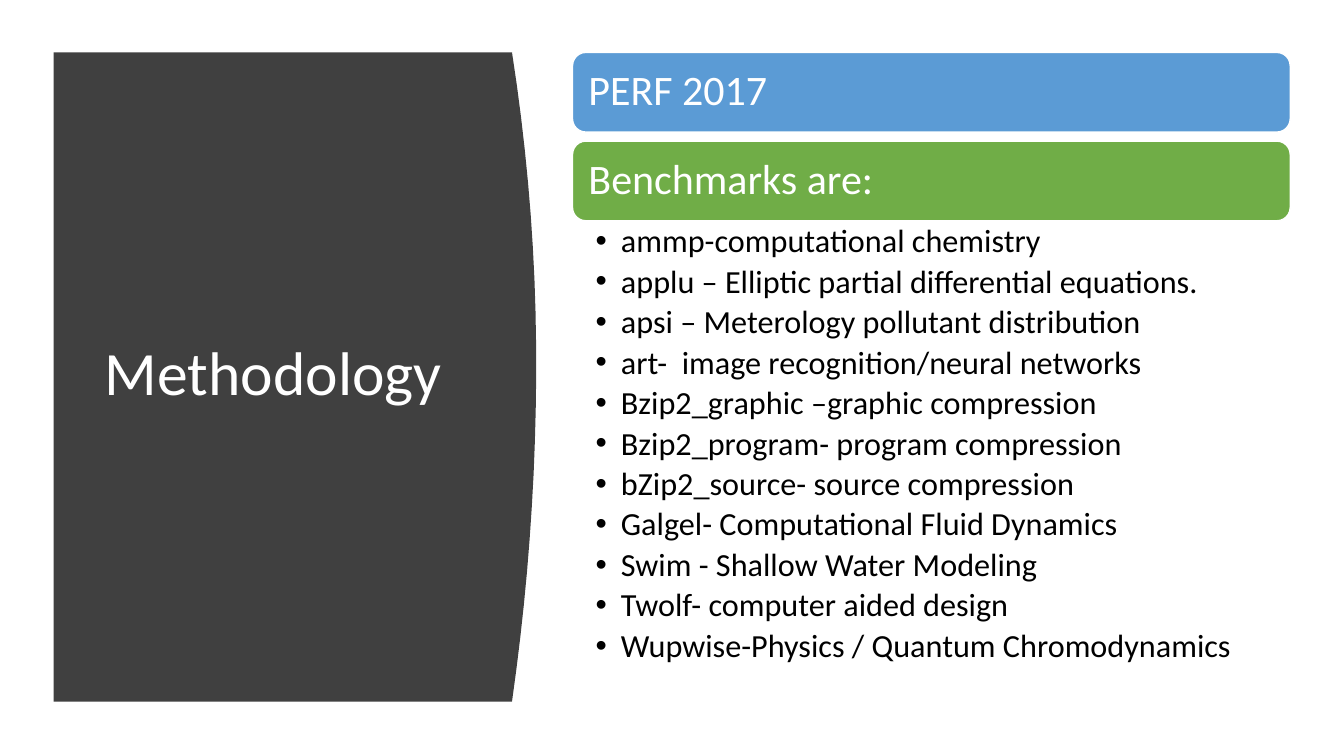
from pptx import Presentation
from pptx.dml.color import RGBColor
from pptx.enum.shapes import MSO_SHAPE
from pptx.enum.text import MSO_ANCHOR, MSO_AUTO_SIZE, PP_ALIGN
from pptx.util import Inches, Pt

ROUNDED = MSO_SHAPE.ROUNDED_RECTANGLE
TOP, MIDDLE = MSO_ANCHOR.TOP, MSO_ANCHOR.MIDDLE
LEFT = PP_ALIGN.LEFT
NO_AUTOFIT = MSO_AUTO_SIZE.NONE

WHITE = RGBColor(0xFF, 0xFF, 0xFF)
BLACK = RGBColor(0x00, 0x00, 0x00)
CHARCOAL = RGBColor(0x40, 0x40, 0x40)
BLUE = RGBColor(0x5B, 0x9B, 0xD5)
GREEN = RGBColor(0x70, 0xAD, 0x47)

COLUMNS, ROWS = 200, 150
PANEL_LEFT, PANEL_EDGE, PANEL_BULGE = 8, 76.2, 3.6
PANEL_TOP, PANEL_PEAK, PANEL_BOTTOM = 10.4, 72, 139.2
CURVE_STEPS = 20
BAR_LEFT, BAR_WIDTH, BAR_HEIGHT, BAR_STEP = 85.2, 106.8, 15.8, 17.6

HEADINGS = [("PERF 2017", BLUE), ("Benchmarks are:", GREEN)]
BENCHMARKS = [
    "ammp-computational chemistry",
    "applu – Elliptic partial differential equations.",
    "apsi – Meterology pollutant distribution",
    "art-  image recognition/neural networks",
    "Bzip2_graphic –graphic compression",
    "Bzip2_program- program compression",
    "bZip2_source- source compression",
    "Galgel- Computational Fluid Dynamics",
    "Swim - Shallow Water Modeling",
    "Twolf- computer aided design",
    "Wupwise-Physics / Quantum Chromodynamics",
]


class MethodologySlide:
    """Holds the style and the current slide, placing elements on a grid."""

    font_name = "Calibri"

    def __init__(self, presentation):
        self.column = presentation.slide_width / COLUMNS
        self.row = presentation.slide_height / ROWS
        self.slide = presentation.slides.add_slide(presentation.slide_layouts[1])

    def box(self, left, top, width, height):
        return (round(left * self.column), round(top * self.row),
                round(width * self.column), round(height * self.row))

    def place(self, shape, left, top, width, height):
        names = ("left", "top", "width", "height")
        for name, value in zip(names, self.box(left, top, width, height)):
            setattr(shape, name, value)

    def fill_text(self, shape, lines, size, color, anchor, insets, space_after=0):
        frame = shape.text_frame
        frame_format = {
            "word_wrap": True, "auto_size": NO_AUTOFIT, "vertical_anchor": anchor,
            "margin_left": Inches(insets[0]), "margin_right": Inches(insets[0]),
            "margin_top": Inches(insets[1]), "margin_bottom": Inches(insets[1]),
        }
        paragraph_format = {
            "alignment": LEFT, "line_spacing": 0.9,
            "space_before": Pt(0), "space_after": Pt(space_after),
        }
        font_format = {"name": self.font_name, "size": Pt(size)}
        for name, value in frame_format.items():
            setattr(frame, name, value)
        frame.text = "\n".join(lines)
        for paragraph in frame.paragraphs:
            for name, value in paragraph_format.items():
                setattr(paragraph, name, value)
            font = paragraph.runs[0].font
            for name, value in font_format.items():
                setattr(font, name, value)
            font.color.rgb = color

    def panel(self):
        points = [(PANEL_LEFT, PANEL_TOP)]
        height = PANEL_BOTTOM - PANEL_TOP
        for step in range(CURVE_STEPS + 1):
            y = PANEL_TOP + height * step / CURVE_STEPS
            end = PANEL_TOP if y < PANEL_PEAK else PANEL_BOTTOM
            share = (y - PANEL_PEAK) / (end - PANEL_PEAK)
            points.append((PANEL_EDGE + PANEL_BULGE * (1 - share ** 2), y))
        points.append((PANEL_LEFT, PANEL_BOTTOM))
        points = [(round(x * self.column), round(y * self.row)) for x, y in points]
        builder = self.slide.shapes.build_freeform(*points[0])
        builder.add_line_segments(points[1:], close=True)
        shape = builder.convert_to_shape()
        shape.shadow.inherit = False
        shape.fill.solid()
        shape.fill.fore_color.rgb = CHARCOAL
        shape.line.fill.background()
        shape.element.getparent().insert(2, shape.element)

    def title(self, text):
        shape = self.slide.shapes.title
        self.place(shape, 14.1, 22.2, 56.1, 104.8)
        self.fill_text(shape, [text], 44, WHITE, MIDDLE, (0.1, 0.05))

    def bar(self, index, text, color):
        top = PANEL_TOP + index * BAR_STEP
        shape = self.slide.shapes.add_shape(
            ROUNDED, *self.box(BAR_LEFT, top, BAR_WIDTH, BAR_HEIGHT))
        shape.shadow.inherit = False
        shape.fill.solid()
        shape.fill.fore_color.rgb = color
        shape.line.color.rgb = WHITE
        shape.line.width = Pt(1)
        self.fill_text(shape, [text], 30, WHITE, MIDDLE, (0.12, 0.12))

    def bullets(self, lines):
        shape = self.slide.placeholders[1]
        self.place(shape, BAR_LEFT, 43.8, BAR_WIDTH, 95)
        self.fill_text(shape, lines, 23, BLACK, TOP, (0.23, 0.04), space_after=4.1)
        indents = {"marL": Inches(0.25), "indent": Inches(-0.25)}
        for paragraph in shape.text_frame.paragraphs:
            properties = paragraph._p.get_or_add_pPr()
            for name, value in indents.items():
                properties.set(name, str(int(value)))


def main():
    presentation = Presentation()
    presentation.slide_width = Inches(13.33)
    presentation.slide_height = Inches(7.5)
    methodology = MethodologySlide(presentation)
    methodology.panel()
    methodology.title("Methodology")
    for index, (text, color) in enumerate(HEADINGS):
        methodology.bar(index, text, color)
    methodology.bullets(BENCHMARKS)
    presentation.save("out.pptx")


if __name__ == "__main__":
    main()
